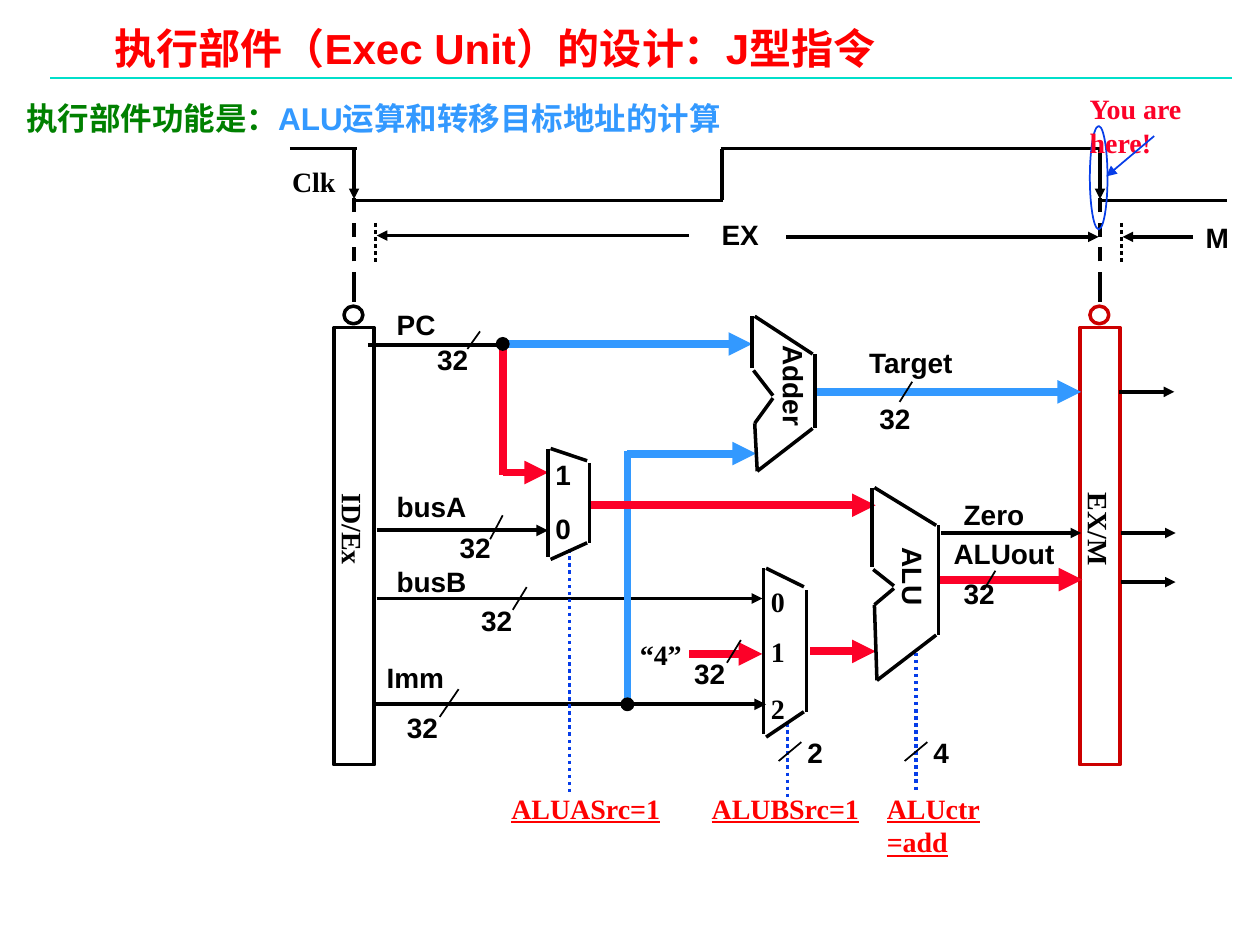
from lxml.etree import SubElement
from pptx import Presentation
from pptx.dml.color import RGBColor
from pptx.enum.dml import MSO_LINE
from pptx.enum.shapes import MSO_CONNECTOR, MSO_SHAPE
from pptx.enum.text import MSO_AUTO_SIZE, PP_ALIGN
from pptx.oxml.ns import qn
from pptx.util import Inches, Pt

BLACK = RGBColor(0x00, 0x00, 0x00)
RED = RGBColor(0xFF, 0x00, 0x00)
ROSE = RGBColor(0xFC, 0x01, 0x28)
BRICK = RGBColor(0xCC, 0x00, 0x00)
SKY = RGBColor(0x33, 0x99, 0xFF)
BLUE = RGBColor(0x06, 0x3D, 0xE8)
GREEN = RGBColor(0x00, 0x80, 0x00)
TEAL = RGBColor(0x00, 0xDF, 0xCA)
SANS, SERIF = "Arial", "Times New Roman"
DOT, DASH = MSO_LINE.ROUND_DOT, MSO_LINE.DASH
FAT = 4.5


def apply(item, **values):
    for name, value in values.items():
        setattr(item, name, value)


def line(slide, box, ends, color=BLACK, width=2, dash=None, arrow=False):
    x, y = box[:2]
    a, b, c, d = ends
    link = slide.shapes.add_connector(
        MSO_CONNECTOR.STRAIGHT,
        Inches(x + a), Inches(y + b), Inches(x + c), Inches(y + d))
    link.line.color.rgb = color
    apply(link.line, width=Pt(width), dash_style=dash)
    props = link._element.spPr
    if arrow:
        SubElement(props.find(qn("a:ln")), qn("a:tailEnd"), type="triangle")
    SubElement(props, qn("a:effectLst"))


def outline(slide, kind, box, color, width, fill=None):
    shape = slide.shapes.add_shape(kind, *map(Inches, box))
    shape.shadow.inherit = False
    shape.line.color.rgb = color
    shape.line.width = Pt(width)
    if fill is None:
        shape.fill.background()
    else:
        shape.fill.solid()
        shape.fill.fore_color.rgb = fill


def text(slide, box, at, runs, size=16, font=SANS, wrap=False, turn=0,
         under=None, **form):
    x, y, w, h = at
    label = slide.shapes.add_textbox(
        *map(Inches, (box[0] + x, box[1] + y, w, h)))
    label.rotation = turn
    apply(label.text_frame, word_wrap=wrap,
          auto_size=MSO_AUTO_SIZE.SHAPE_TO_FIT_TEXT)
    para = label.text_frame.paragraphs[0]
    apply(para, **form)
    for words, color in runs:
        run = para.add_run()
        run.text = words
        apply(run.font, name=font, size=Pt(size), bold=True, underline=under)
        run.font.color.rgb = color
    return label


def heading(slide, box):
    title = text(slide, box, (0.44, 0, 8.4, 0.41),
                 [("执行部件（Exec Unit）的设计：J型指令", RED)],
                 24, wrap=True, line_spacing=0.87)
    apply(title.text_frame, margin_left=Inches(0.07), margin_top=Inches(0.03),
          margin_right=Inches(0.07), margin_bottom=Inches(0.03))
    line(slide, box, (0, 0.42, box[2], 0.42), TEAL, 1)
    text(slide, box, (-0.29, 0.49, 7.76, 0.45),
         [("执行部件功能是：", GREEN), ("ALU运算和转移目标地址的计算", SKY)],
         18, wrap=True, line_spacing=1.15)


def clock(slide, box):
    for ends in ((0.3, 0.18, 0.83, 0.18), (0.8, 0.59, 3.74, 0.59),
                 (3.73, 0.59, 3.73, 0.18), (3.72, 0.18, 6.74, 0.18),
                 (6.72, 0.59, 7.74, 0.59)):
        line(slide, box, ends)
    for x in (0.81, 6.73):
        line(slide, box, (x, 0.19, x, 0.58), arrow=True)
        line(slide, box, (x, 1.27, x, 0.57), dash=DASH)
        line(slide, box, (x, 1.27, x, 1.4))
        line(slide, box, (x + 0.17, 0.77, x + 0.17, 1.08), dash=DOT)
    for ends in ((3.47, 0.87, 0.99, 0.87), (4.24, 0.88, 6.72, 0.88),
                 (7.47, 0.88, 6.91, 0.88)):
        line(slide, box, ends, arrow=True)
    text(slide, box, (0.22, 0.26, 0.62, 0.36), [("Clk", BLACK)], font=SERIF)
    text(slide, box, (3.49, 0.68, 0.77, 0.37), [("EX", BLACK)], wrap=True,
         alignment=PP_ALIGN.CENTER)
    text(slide, box, (7.47, 0.7, 0.39, 0.37), [("M", BLACK)])
    outline(slide, MSO_SHAPE.OVAL, (box[0] + 6.65, box[1], 0.14, 0.82), BLUE, 1)
    text(slide, box, (6.55, -0.32, 1.33, 0.36), [("You are here!", ROSE)],
         font=SERIF, wrap=True)
    line(slide, box, (7.16, 0.08, 6.78, 0.4), BLUE, 1, arrow=True)


def latch(slide, box, name, color):
    x, y, w, h = box
    outline(slide, MSO_SHAPE.RECTANGLE, box, color, 2)
    outline(slide, MSO_SHAPE.OVAL, (x + 0.08, y - 0.17, 0.15, 0.14), color, 2)
    text(slide, box, (-0.3, 1.42, 0.91, 0.36), [(name, BLACK)], font=SERIF,
         turn=90, alignment=PP_ALIGN.CENTER)


def mux(slide, box, marks, font):
    w, h = box[2:]
    for ends in ((0, 0, 0, 0.98 * h), (0.02, 0, w - 0.02, 0.11 * h),
                 (0.02, h, w - 0.02, 0.85 * h), (w, 0.13 * h, w, 0.85 * h)):
        line(slide, box, ends)
    for mark, top in marks:
        text(slide, box, (-0.04, top, 0.31, 0.37), [(mark, BLACK)], font=font)


def unit(slide, box, name, at, notch, side):
    w, h = box[2:]
    (high, low), (top, base) = notch, side
    mid = (high + low) / 2
    tip = w * 0.33
    for ends in ((0, 0, 0, high - 0.02), (0.02, 0, w - 0.02, top),
                 (0.01, high, tip, mid - 0.01), (w, top, w, base),
                 (0.02, low, tip, mid + 0.01), (0.02, low, 0.04, h),
                 (0.04, h, w - 0.02, base)):
        line(slide, box, ends)
    text(slide, box, at, [(name, BLACK)], turn=90)


def wires(slide, box):
    for ends in ((0.99, 2.75, 4.05, 2.75), (6.9, 2.62, 7.33, 2.62),
                 (5.47, 2.23, 6.58, 2.23), (6.9, 2.23, 7.33, 2.23),
                 (6.88, 1.11, 7.32, 1.11)):
        line(slide, box, ends, arrow=True)
    for ends in ((0.97, 3.59, 4.08, 3.59), (0.99, 2.21, 2.35, 2.21)):
        line(slide, box, ends, width=2.25, arrow=True)
    line(slide, box, (0.92, 0.74, 2.02, 0.74), width=2.25)
    line(slide, box, (2.98, 1.58, 2.98, 3.63), SKY, FAT)
    line(slide, box, (1.99, 0.73, 1.99, 1.77), ROSE, FAT)
    for color, paths in (
            (SKY, ((2.98, 1.6, 4, 1.6), (2.01, 0.73, 3.97, 0.73),
                   (4.47, 1.11, 6.58, 1.11))),
            (ROSE, ((2.68, 2.01, 4.95, 2.01), (4.43, 3.17, 4.95, 3.17),
                    (5.45, 2.6, 6.59, 2.6), (3.47, 3.19, 4.05, 3.19),
                    (1.99, 1.75, 2.35, 1.75)))):
        for ends in paths:
            line(slide, box, ends, color, FAT, arrow=True)
    for x, top, end in ((2.52, 2.36, 4.29), (4.25, 3.74, 4.33),
                        (5.27, 3.18, 4.29)):
        line(slide, box, (x, top, x, end), BLUE, dash=DOT)
    for x, y in ((1.99, 0.73), (2.98, 3.59)):
        outline(slide, MSO_SHAPE.OVAL,
                (box[0] + x - 0.05, box[1] + y - 0.05, 0.1, 0.1),
                BLACK, 0.75, BLACK)


def labels(slide, box):
    for ends in ((1.99, 2.09, 1.89, 2.28), (2.18, 2.66, 2.07, 2.84),
                 (1.64, 3.47, 1.49, 3.69), (5.9, 2.53, 5.81, 2.68),
                 (1.81, 0.63, 1.71, 0.77), (5.24, 1.03, 5.14, 1.19),
                 (3.88, 3.08, 3.77, 3.26), (5.36, 3.89, 5.18, 4.04),
                 (4.36, 3.89, 4.18, 4.04)):
        line(slide, box, ends, width=1)
    for x, y in ((1.55, 2.16), (1.72, 2.74), (1.13, 3.59), (5.55, 2.53),
                 (1.37, 0.67), (4.88, 1.14), (3.41, 3.16)):
        text(slide, box, (x, y, 0.45, 0.37), [("32", BLACK)])
    for name, x, y, w in (
            ("PC", 1.05, 0.39, 0.51), ("busA", 1.05, 1.84, 0.76),
            ("busB", 1.05, 2.43, 0.76), ("Imm", 0.97, 3.19, 0.66),
            ("Target", 4.8, 0.69, 0.87), ("Zero", 5.55, 1.9, 0.68),
            ("ALUout", 5.47, 2.21, 1.01), ("4", 5.31, 3.79, 0.32),
            ("2", 4.31, 3.79, 0.32)):
        text(slide, box, (x, y, w, 0.37), [(name, BLACK)])
    text(slide, box, (2.98, 3.01, 0.54, 0.37), [("“4”", BLACK)], font=SERIF)
    for name, x, w, h, wrap in (("ALUASrc=1", 1.96, 1.39, 0.37, False),
                                ("ALUBSrc=1", 3.55, 1.38, 0.37, False),
                                ("ALUctr=add", 4.94, 1.06, 0.64, True)):
        text(slide, box, (x, 4.23, w, h), [(name, RED)], font=SERIF,
             wrap=wrap, under=True)


def main():
    deck = Presentation()
    apply(deck, slide_width=Inches(10), slide_height=Inches(7.5))
    slide = deck.slides.add_slide(deck.slide_layouts[6])
    heading(slide, (0.4, 0.2, 9.38, 0.94))
    clock(slide, (2, 1, 8, 1.4))
    latch(slide, (2.65, 2.6, 0.32, 3.47), "ID/Ex", BLACK)
    latch(slide, (8.57, 2.6, 0.32, 3.47), "EX/M", BRICK)
    wires(slide, (2, 2, 7.4, 4.9))
    mux(slide, (4.35, 3.56, 0.33, 0.88), (("1", 0.02), ("0", 0.45)), SANS)
    mux(slide, (6.06, 4.51, 0.34, 1.34),
        (("0", 0.08), ("1", 0.48), ("2", 0.93)), SERIF)
    unit(slide, (5.97, 2.51, 0.5, 1.23), "Adder", (-0.09, 0.38, 0.85, 0.36),
         (0.43, 0.85), (0.3, 0.89))
    unit(slide, (6.92, 3.87, 0.53, 1.53), "ALU", (0, 0.53, 0.66, 0.36),
         (0.65, 0.93), (0.3, 1.17))
    labels(slide, (2, 2, 7.4, 4.9))
    deck.save("out.pptx")


if __name__ == "__main__":
    main()
